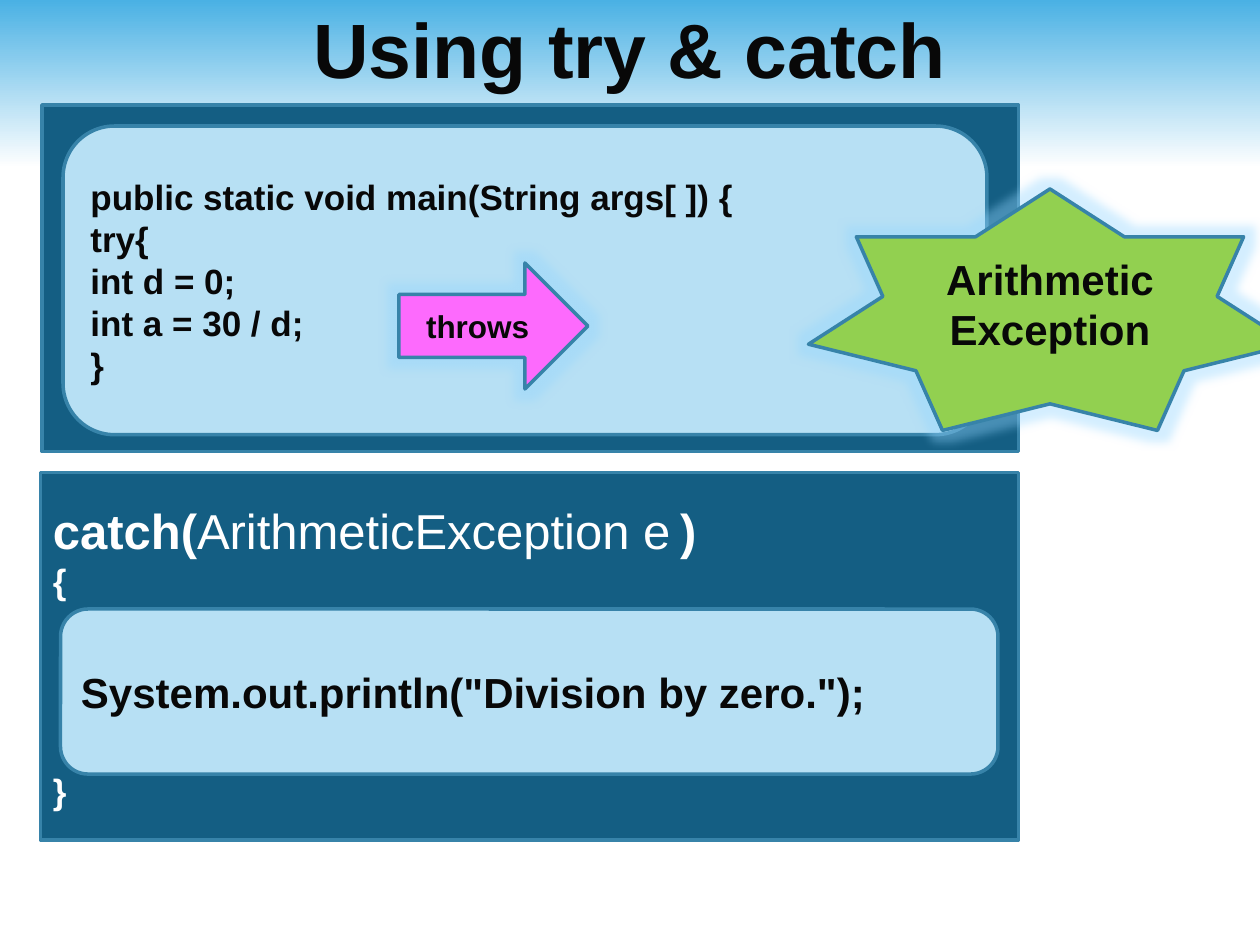
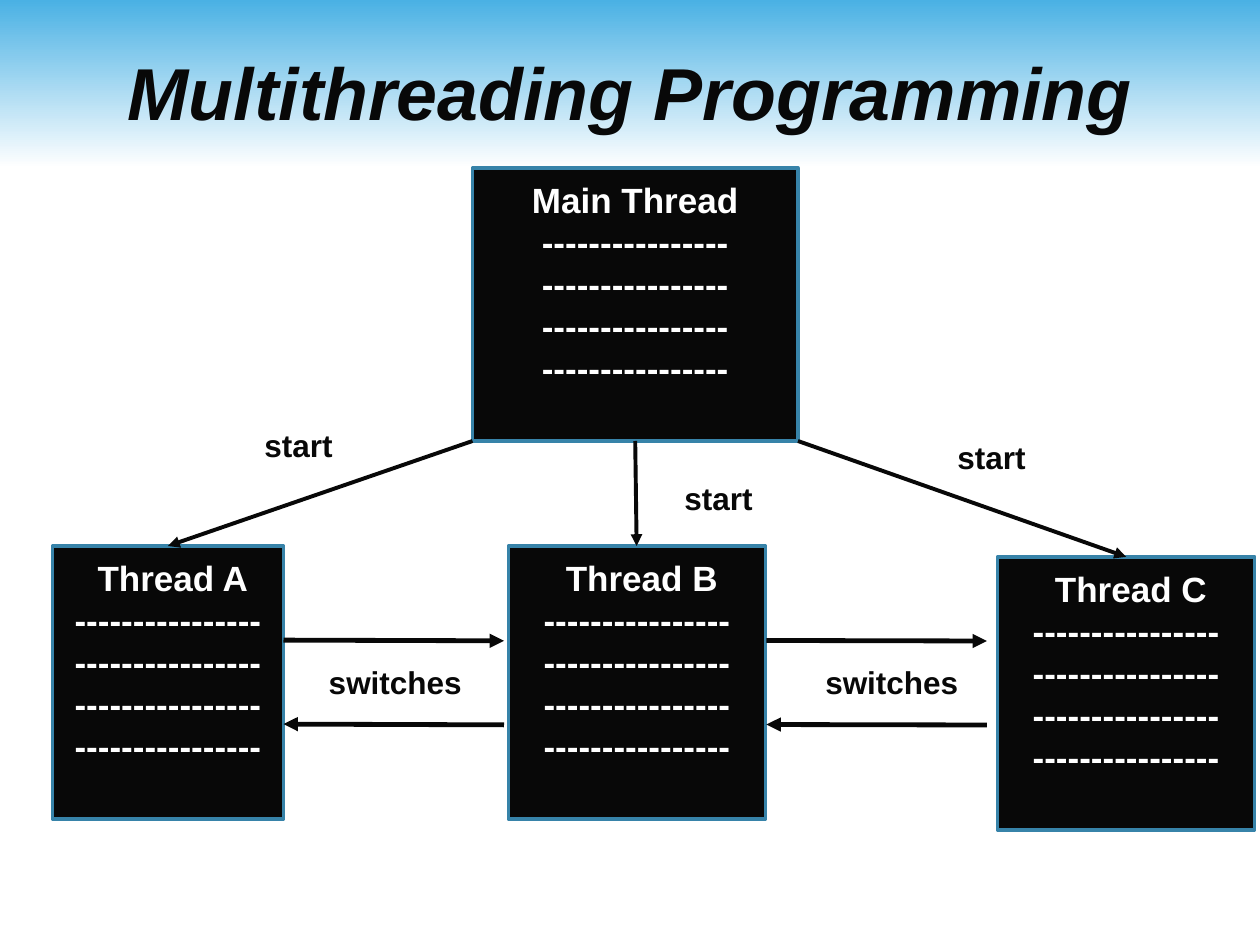
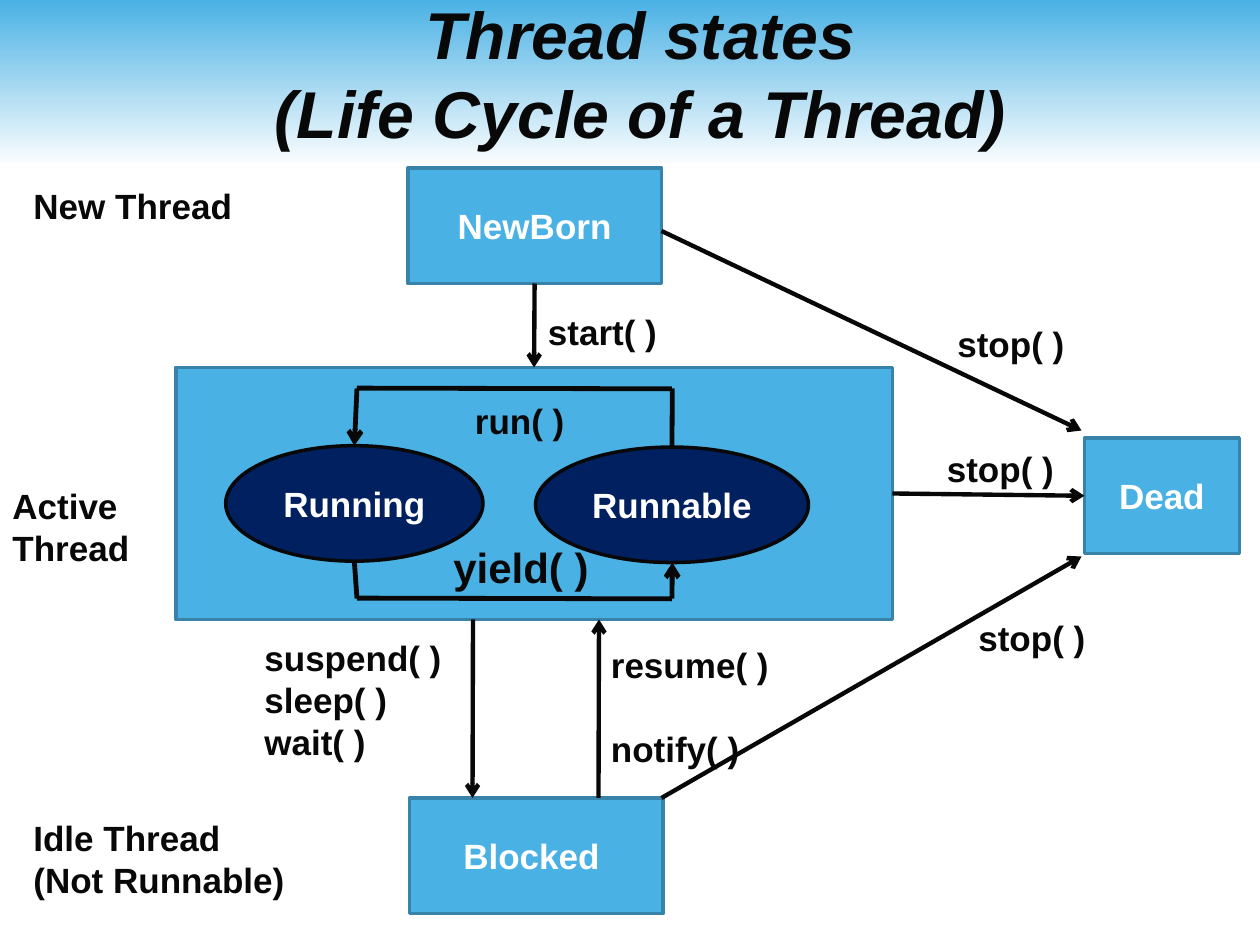
"""Build three slides on Java exception handling and threads."""
import lxml.etree
import pptx
import pptx.dml.color
import pptx.enum.shapes
import pptx.enum.text
import pptx.oxml.ns
import pptx.util

Pt = pptx.util.Pt
qn = pptx.oxml.ns.qn
SHAPE = pptx.enum.shapes.MSO_SHAPE
ALIGN = pptx.enum.text.PP_ALIGN
ANCHOR = pptx.enum.text.MSO_ANCHOR
FIT = pptx.enum.text.MSO_AUTO_SIZE

INK, WHITE, EDGE = "080808", "FFFFFF", "3783A9"
SKY, PALE, DEEP, NAVY = "4AB1E4", "B7E0F4", "145E83", "002060"
PINK, GREEN, GLOW = "FD6AFD", "92D050", "94D6FF"


def rgb(code):
    """Turn a hex string into a colour."""
    return pptx.dml.color.RGBColor.from_string(code)


def write(box, text, size=20, color=INK, bold=True, italic=False,
          align=ALIGN.LEFT, before=0, joined=False):
    """Add each line as a paragraph, or join it to the last paragraph."""
    frame = box.text_frame
    for line in text.split("\n"):
        para = frame.paragraphs[-1]
        if para.runs and not joined:
            para = frame.add_paragraph()
        para.alignment = align
        if before:
            para.space_before = Pt(before)
        span = para.add_run()
        span.text = line
        span.font.name = "Arial"
        span.font.size = Pt(size)
        span.font.bold = bold
        span.font.italic = italic
        span.font.color.rgb = rgb(color)


deck = pptx.Presentation()
deck.slide_width, deck.slide_height = Pt(720), Pt(540)

titles = [
    ("Using try & catch", (36, -18, 648, 90), 44, False),
    ("Multithreading Programming", (36, 18, 648, 68.4), 42, True),
    ("Thread states\n(Life Cycle of a Thread)", (42, 7.2, 648, 68.4), 37.8, True),
]
pages = []
for text, place, size, italic in titles:
    page = deck.slides.add_slide(deck.slide_layouts[5])
    title = page.shapes.title
    title.left, title.top, title.width, title.height = map(Pt, place)
    title.text_frame.auto_size = FIT.NONE
    title.text_frame.vertical_anchor = ANCHOR.MIDDLE
    write(title, text, size=size, italic=italic, align=ALIGN.CENTER)
    pages.append(page)
catching, threading, states = pages

band = catching.shapes.add_shape(SHAPE.RECTANGLE, 0, 0, Pt(720), Pt(96))
band.shadow.inherit = False
band.line.fill.background()
band.fill.gradient()
band.fill.gradient_angle = 270
for stop, color in zip(band.fill.gradient_stops, (SKY, WHITE)):
    stop.color.rgb = rgb(color)
band._element.nvSpPr.cNvPr.set("id", "99")
deck.slide_master.shapes._spTree.insert(2, band._element)

main_code = """public static void main(String args[ ]) {
try{
int d = 0;
int a = 30 / d;
}"""
dashes = "\n----------------" * 4
centred = {"align": ALIGN.CENTER}
light = {"align": ALIGN.CENTER, "color": WHITE}
blocks = [
    (catching, "Try panel", SHAPE.RECTANGLE, (24, 60, 558, 198), DEEP, "", {}),
    (catching, "Try code", SHAPE.ROUNDED_RECTANGLE, (36, 72, 528, 176.4), PALE, main_code, {}),
    (catching, "Catch panel", SHAPE.RECTANGLE, (23.2, 270, 558.8, 210), DEEP, "", {}),
    (catching, "Catch code", SHAPE.ROUNDED_RECTANGLE, (34.6, 348, 535.7, 94.3), PALE,
     'System.out.println("Division by zero.");', {"size": 24}),
    (catching, "Throws arrow", SHAPE.RIGHT_ARROW, (228, 150.3, 108, 72), PINK,
     "throws", {"size": 18, **centred}),
    (catching, "Exception star", SHAPE.STAR_7_POINT, (462, 108, 276, 138), GREEN,
     "Arithmetic Exception", {"size": 24, **centred}),
    (threading, "Main Thread", SHAPE.RECTANGLE, (270, 96, 186, 156), INK, "Main Thread" + dashes, light),
    (threading, "Thread A", SHAPE.RECTANGLE, (30, 312, 132, 156), INK, " Thread A" + dashes, light),
    (threading, "Thread B", SHAPE.RECTANGLE, (290.5, 312, 147, 156), INK, " Thread B" + dashes, light),
    (threading, "Thread C", SHAPE.RECTANGLE, (570, 318.2, 147, 156), INK, " Thread C" + dashes, light),
    (states, "NewBorn", SHAPE.RECTANGLE, (233, 96, 145, 66), SKY, "NewBorn", light),
    (states, "Blocked", SHAPE.RECTANGLE, (234, 456, 145, 66), SKY, "Blocked ", light),
    (states, "Dead", SHAPE.RECTANGLE, (619.7, 250.3, 88.5, 66), SKY, "Dead", light),
    (states, "Active panel", SHAPE.RECTANGLE, (100.5, 210, 409.5, 144), SKY, "", {}),
    (states, "Running", SHAPE.OVAL, (129, 254.7, 147, 66), NAVY, "Running", light),
    (states, "Runnable", SHAPE.OVAL, (306, 255.5, 156, 66), NAVY, "Runnable", light),
]
drawn = {}
for page, name, kind, place, color, text, style in blocks:
    box = page.shapes.add_shape(kind, *map(Pt, place))
    box.shadow.inherit = False
    box.fill.solid()
    box.fill.fore_color.rgb = rgb(color)
    box.line.color.rgb = rgb(INK if kind == SHAPE.OVAL else EDGE)
    box.line.width = Pt(2)
    box.text_frame.word_wrap = True
    box.text_frame.vertical_anchor = ANCHOR.MIDDLE
    if page is threading:
        box.text_frame.margin_bottom = Pt(27.6)
    if text:
        write(box, text, **style)
    drawn[name] = box

catch_panel = drawn["Catch panel"]
write(catch_panel, "catch(", size=28, color=WHITE)
write(catch_panel, "ArithmeticException e", size=28, color=WHITE, bold=False, joined=True)
write(catch_panel, " ", color=WHITE, bold=False, joined=True)
write(catch_panel, ")", size=28, color=WHITE, joined=True)
write(catch_panel, "{", color=WHITE)
write(catch_panel, "}", color=WHITE, before=96)

for name in ("Throws arrow", "Exception star"):
    effects = drawn[name]._element.spPr.find(qn("a:effectLst"))
    glow = lxml.etree.SubElement(effects, qn("a:glow"), rad=str(Pt(11)))
    tone = lxml.etree.SubElement(glow, qn("a:srgbClr"), val=GLOW)
    lxml.etree.SubElement(tone, qn("a:alpha"), val="40000")

arrows = [
    (threading, 2.75, "triangle", [
        (162, 365.8, 288, 366.2), (288, 414.2, 162, 413.8),
        (438, 366, 564, 366.3), (564, 414.3, 438, 414)]),
    (threading, 2.25, "triangle", [
        (270, 252, 96, 312), (363, 252, 363.8, 312), (456, 252, 643.5, 318.2)]),
    (states, 2.5, "arrow", [
        (305.5, 162, 305.2, 210), (378, 132, 618, 246), (510, 282, 619.7, 283.3),
        (378, 456, 618, 318), (342, 456, 342.3, 354), (270.3, 354, 270, 456)]),
    (states, 2.75, None, [
        (384, 255.5, 384.2, 222), (384, 222.2, 204, 221.8),
        (202.5, 320.7, 204, 342), (204, 341.8, 384, 342.2)]),
    (states, 2.75, "arrow", [(204, 222, 202.5, 254.7), (384, 342, 384.2, 321.5)]),
]
for page, width, head, routes in arrows:
    for route in routes:
        arrow = page.shapes.add_connector(
            pptx.enum.shapes.MSO_CONNECTOR.STRAIGHT, *map(Pt, route))
        arrow.line.color.rgb = rgb(INK)
        arrow.line.width = Pt(width)
        if head:
            lxml.etree.SubElement(arrow.get_or_add_ln(), qn("a:tailEnd"), type=head)
        lxml.etree.SubElement(arrow._element.spPr, qn("a:effectLst"))

labels = [
    (threading, "start", (540, 247, 60, 29), 18),
    (threading, "start", (144, 240, 60, 29), 18),
    (threading, "start", (384, 270, 60, 29), 18),
    (threading, "switches", (464.5, 375.4, 102, 29), 18),
    (threading, "switches", (180.8, 375.4, 102, 29), 18),
    (states, "New Thread", (12, 102, 132, 31.5), 20),
    (states, "Active\nThread", (0, 273.2, 96, 55.5), 20),
    (states, "Idle Thread\n(Not Runnable)", (12, 463, 234, 55.5), 20),
    (states, "start( )", (306, 174, 84, 31.5), 20),
    (states, "stop( )", (540, 181, 102, 31.5), 20),
    (states, "stop( )", (552, 349, 78, 31.5), 20),
    (states, "resume( )", (342, 364.2, 132, 80), 20),
    (states, "suspend( )\nsleep( )\nwait( )", (144, 360, 132, 80), 20),
    (states, "stop( )", (534, 252, 102, 31.5), 20),
    (states, "yield( )", (252, 306, 114, 36), 24),
    (states, "run( )", (264.3, 225, 84, 31.5), 20),
]
for page, text, place, size in labels:
    label = page.shapes.add_textbox(*map(Pt, place))
    label.text_frame.word_wrap = True
    label.text_frame.auto_size = FIT.SHAPE_TO_FIT_TEXT
    write(label, text, size=size)
    if text == "resume( )":
        write(label, "notify( )", before=24)

deck.save("out.pptx")
